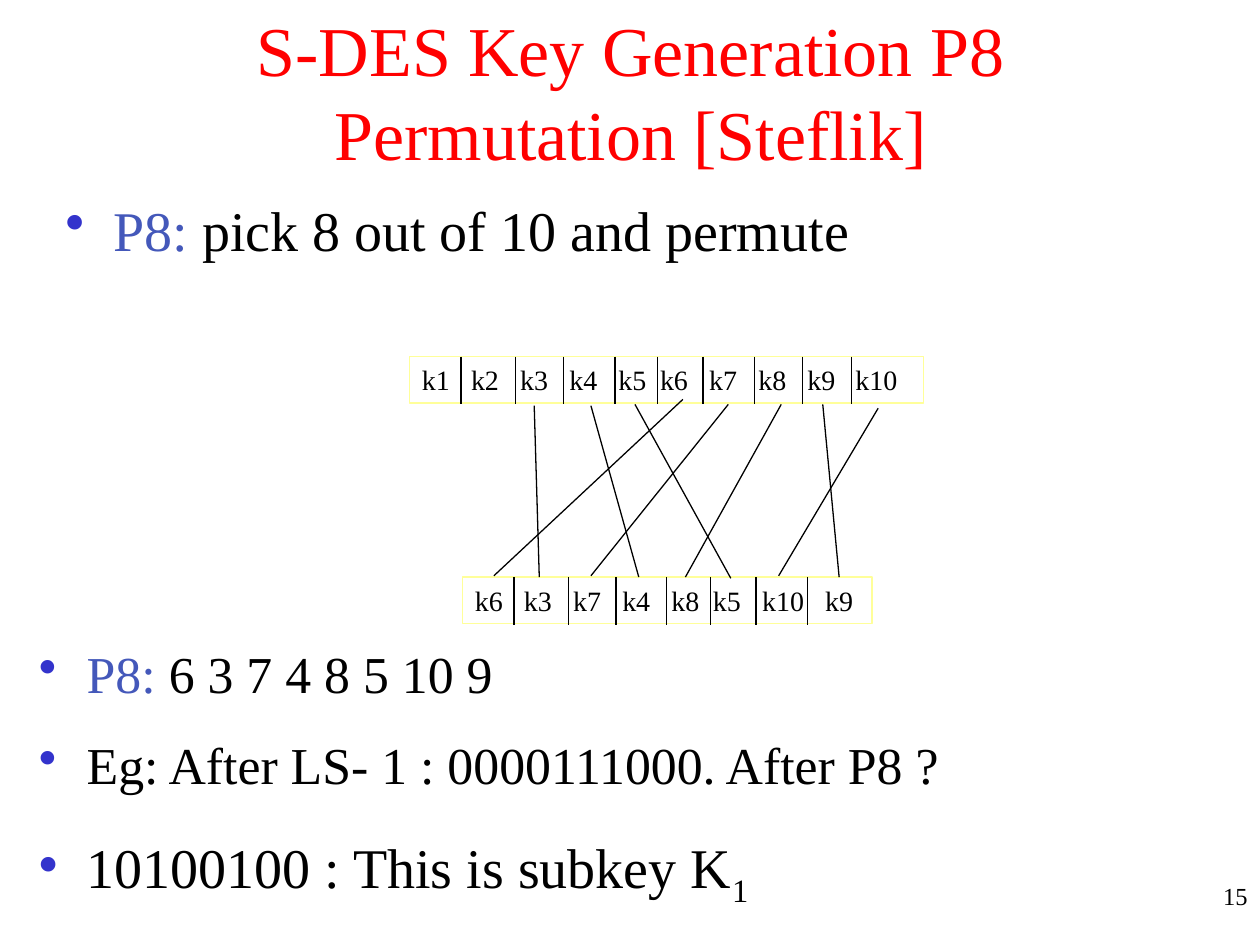
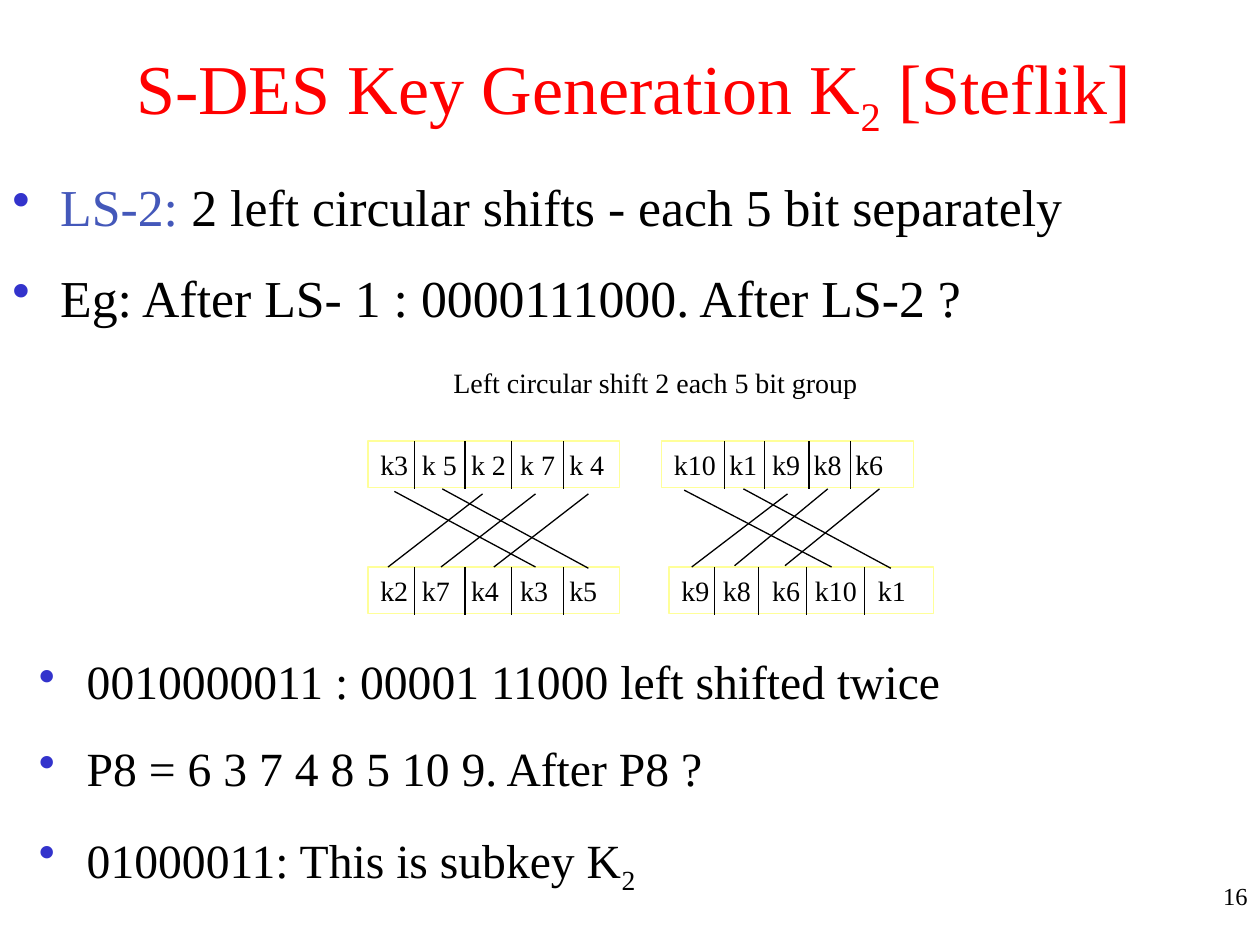
from lxml import etree
from pptx import Presentation
from pptx.dml.color import RGBColor
from pptx.enum import shapes, text
from pptx.oxml.ns import qn
from pptx.util import Inches, Pt

FONT = "Times New Roman"
COLORS = {
    "title": "FF0000",
    "body": "000000",
    "term": "4458BA",
    "bullet": "3333CC",
    "row": "FFFF99",
}
LINE_WIDTH = Pt(0.75)
ROW_HEIGHT = 0.37
DIVIDER_HEIGHT = 0.38
INDENT = Inches(0.38)
TITLE_ONLY = 5


def rgb(name):
    return RGBColor.from_string(COLORS[name])


def add_runs(p, runs, size, color="body"):
    """Add (text, kind) runs; kind is "" for plain, "term" or "sub"."""
    for words, kind in runs:
        r = p.add_run()
        r.text = words
        r.font.name = FONT
        r.font.size = Pt(size)
        r.font.color.rgb = rgb("term" if kind == "term" else color)
        if kind == "sub":
            r._r.get_or_add_rPr().set("baseline", "-25000")


def add_title(slide, runs, width, height):
    title = slide.shapes.title
    title.left, title.top = Inches(0.75), 0
    title.width, title.height = Inches(width), Inches(height)
    tf = title.text_frame
    tf.auto_size = text.MSO_AUTO_SIZE.NONE
    tf.vertical_anchor = text.MSO_ANCHOR.MIDDLE
    p = tf.paragraphs[0]
    p.alignment = text.PP_ALIGN.CENTER
    add_runs(p, runs, 40, "title")


def add_text(slide, left, top, width, height):
    box = slide.shapes.add_textbox(Inches(left), Inches(top), Inches(width), Inches(height))
    box.text_frame.word_wrap = True
    return box.text_frame


def add_page_number(slide, number):
    p = add_text(slide, 9.56, 6.94, 0.44, 0.39).paragraphs[0]
    p.alignment = text.PP_ALIGN.RIGHT
    add_runs(p, [(str(number), "")], 14)


def set_bullet(p):
    pPr = p._p.get_or_add_pPr()
    pPr.set("marL", str(INDENT))
    pPr.set("indent", str(-INDENT))
    color = etree.SubElement(pPr, qn("a:buClr"))
    etree.SubElement(color, qn("a:srgbClr"), val=COLORS["bullet"])
    etree.SubElement(pPr, qn("a:buChar"), char="•")


def add_bullets(slide, box, items, size, spacing=None):
    tf = add_text(slide, *box)
    for i, runs in enumerate(items):
        p = tf.add_paragraph() if i else tf.paragraphs[0]
        set_bullet(p)
        if spacing:
            p.line_spacing = spacing
        if i:
            p.space_before = Pt(20)
        add_runs(p, runs, size)


def add_line(slide, x1, y1, x2, y2):
    line = slide.shapes.add_connector(
        shapes.MSO_CONNECTOR.STRAIGHT, Inches(x1), Inches(y1), Inches(x2), Inches(y2))
    line.line.color.rgb = rgb("body")
    line.line.width = LINE_WIDTH
    etree.SubElement(line._element.spPr, qn("a:effectLst"))


def add_key_row(slide, left, top, width, keys, tabs, dividers):
    """Draw a row of key bits: tabs are inches from the text edge, dividers are slide x."""
    sp = slide.shapes.add_shape(
        shapes.MSO_SHAPE.RECTANGLE, Inches(left), Inches(top), Inches(width), Inches(ROW_HEIGHT))
    sp.shadow.inherit = False
    sp.fill.background()
    sp.line.color.rgb = rgb("row")
    sp.line.width = LINE_WIDTH
    tf = sp.text_frame
    tf.word_wrap = True
    tf.vertical_anchor = text.MSO_ANCHOR.TOP
    p = tf.paragraphs[0]
    p.alignment = text.PP_ALIGN.LEFT
    stops = etree.SubElement(p._p.get_or_add_pPr(), qn("a:tabLst"))
    for tab in tabs:
        etree.SubElement(stops, qn("a:tab"), pos=str(Inches(tab)), algn="l")
    add_runs(p, [("\t".join(keys), "")], 16)
    for x in dividers:
        add_line(slide, x, top, x, top + DIVIDER_HEIGHT)


def add_links(slide, links):
    for link in links:
        add_line(slide, *link)


def build_p8_slide(slide):
    add_title(slide, [("S-DES Key Generation P8 Permutation [Steflik]", "")], 8.51, 1.43)
    add_page_number(slide, 15)
    add_bullets(slide, (0.42, 1.5, 9.29, 0.81),
                [[("P8:", "term"), (" pick 8 out of 10 and permute", "")]], 32)
    tabs = [0.39, 0.78, 1.17, 1.56, 1.89, 2.28, 2.67, 3.06, 3.44]
    add_key_row(slide, 3.25, 2.83, 4.08, [f"k{n}" for n in range(1, 11)], tabs,
                [3.66, 4.09, 4.47, 4.88, 5.22, 5.58, 5.99, 6.37, 6.76])
    p8 = [6, 3, 7, 4, 8, 5, 10, 9]
    add_key_row(slide, 3.67, 4.58, 3.25, [f"k{n}" for n in p8], tabs[:6] + [2.78],
                [4.08, 4.51, 4.89, 5.29, 5.64, 6, 6.41])
    add_links(slide, [
        (5.42, 3.17, 3.92, 4.57), (4.24, 3.22, 4.28, 4.58),
        (5.78, 3.21, 4.69, 4.57), (4.69, 3.22, 5.07, 4.58),
        (6.2, 3.21, 5.44, 4.58), (5.04, 3.21, 5.8, 4.59),
        (6.97, 3.24, 6.18, 4.57), (6.53, 3.21, 6.66, 4.58),
    ])
    add_bullets(slide, (0.21, 5.1, 9.26, 1.36), [
        [("P8:", "term"), (" 6 3 7 4 8 5 10 9", "")],
        [("Eg: After LS- 1 : 0000111000. After P8 ?", "")],
    ], 29.6, 0.9)
    add_bullets(slide, (0.21, 6.56, 8.92, 0.74),
                [[("10100100 : This is subkey K", ""), ("1", "sub")]], 32)


def build_k2_slide(slide):
    add_title(slide, [("S-DES Key Generation K", ""), ("2", "sub"), (" [Steflik]", "")],
              8.56, 1.46)
    add_page_number(slide, 16)
    add_bullets(slide, (0, 1.39, 9.26, 1.36), [
        [("LS-2:", "term"), (" 2 left circular shifts - each 5 bit separately", "")],
        [("Eg: After LS- 1 : 0000111000. After LS-2 ?", "")],
    ], 29.6, 0.9)
    caption = add_text(slide, 3.5, 2.85, 3.5, 0.37)
    add_runs(caption.paragraphs[0], [("Left circular shift 2 each 5 bit group", "")], 16)

    left_groups = [(3.5, ["k3", "k 5", "k 2", "k 7", "k 4"]),
                   (4.5, ["k2", "k7", "k4", "k3", "k5"])]
    for top, keys in left_groups:
        add_key_row(slide, 2.92, top, 2, keys, [0.33, 0.72, 1.11, 1.5],
                    [3.29, 3.69, 4.06, 4.47])
    add_key_row(slide, 5.25, 3.5, 2, ["k10", "k1", "k9", "k8", "k6"],
                [0.44, 0.78, 1.11, 1.44], [5.75, 6.07, 6.42, 6.75])
    add_key_row(slide, 5.31, 4.5, 2.1, ["k9", "k8", "k6", "k10", "k1"],
                [0.33, 0.72, 1.06, 1.56], [5.67, 6.02, 6.4, 6.86])
    add_links(slide, [
        (3.83, 3.92, 3.08, 4.5), (4.25, 3.92, 3.5, 4.5), (4.67, 3.92, 3.92, 4.5),
        (3.13, 3.9, 4.25, 4.5), (3.51, 3.88, 4.67, 4.51),
        (6.25, 3.92, 5.49, 4.5), (6.57, 3.88, 5.83, 4.49), (6.98, 3.88, 6.23, 4.49),
        (5.43, 3.89, 6.6, 4.5), (5.9, 3.88, 7.07, 4.51),
    ])
    add_bullets(slide, (0.21, 5.18, 9.42, 2.03), [
        [("0010000011 : 00001 11000 left shifted twice", "")],
        [("P8 = 6 3 7 4 8 5 10 9. After P8 ?", "")],
        [("01000011: This is subkey K", ""), ("2", "sub")],
    ], 27.2, 0.9)


def main():
    prs = Presentation()
    prs.slide_width, prs.slide_height = Inches(10), Inches(7.5)
    for build in (build_p8_slide, build_k2_slide):
        build(prs.slides.add_slide(prs.slide_layouts[TITLE_ONLY]))
    prs.save("out.pptx")


if __name__ == "__main__":
    main()
